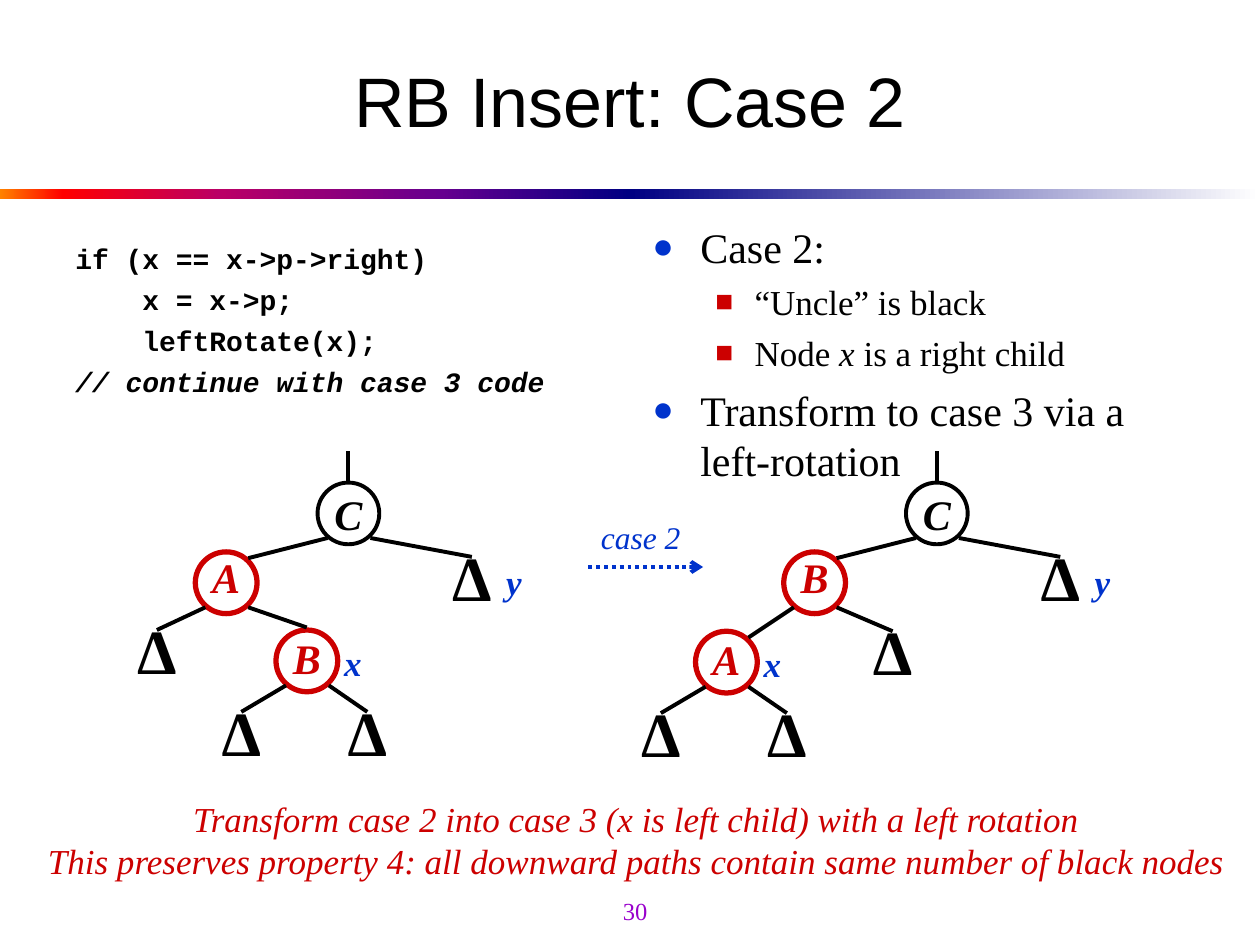
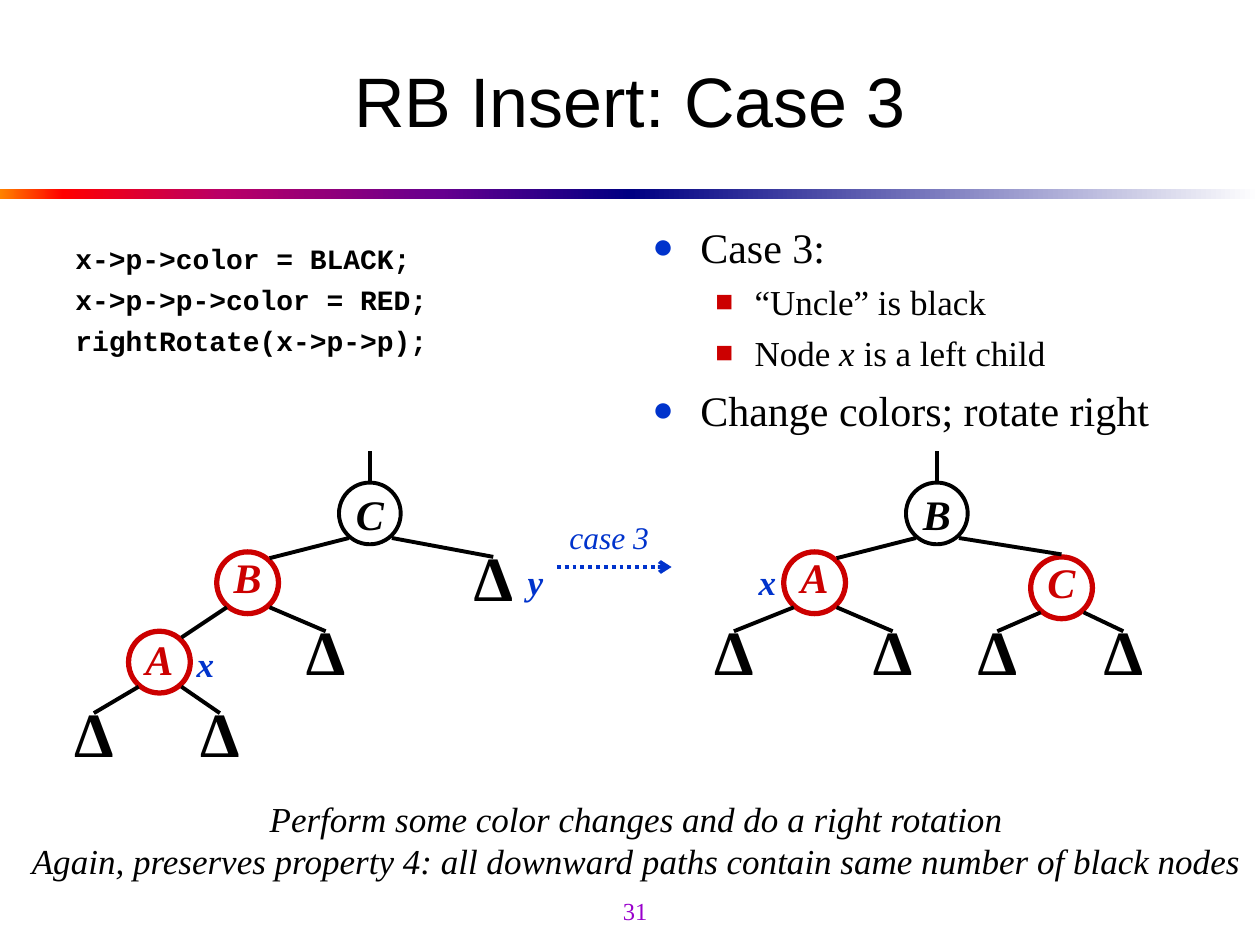
from dataclasses import dataclass
from typing import NamedTuple, Optional

from pptx import Presentation, util as u
from pptx.dml.color import RGBColor
from pptx.enum import dml, shapes as es, text as et
from pptx.oxml.ns import qn
from pptx.slide import Slide
from lxml import etree

INK = {"black": "000000", "white": "FFFFFF", "red": "CC0000",
       "blue": "0033CC", "violet": "9900CC"}
BANDS = (  # left edge, gradient stops in percent
    (0, ((0, "FF8200"), (10, "FF0000"), (35, "BA0066"),
         (70, "66008F"), (100, "000082"))),
    (5, ((0, "000082"), (100, "FFFFFF"))),
)
SERIF, SANS, MONO = "Times New Roman", "Arial", "Courier New"
SIZE = 0.49            # width and height of a tree node
NEAR, FAR = 0.08, 0.42  # where edges touch a node, from its left
TIGHT = (1.0, 0.7, 0.9)  # line spacing of a node label, by depth
LEAF = "Δ"


class Font(NamedTuple):
    size: int
    ink: str = "black"
    face: str = SERIF
    bold: bool = False
    slant: bool = False


class Box(NamedTuple):
    left: float
    top: float
    wide: float
    high: float

    def lengths(self) -> list:
        return [u.Inches(side) for side in self]


class Tag(NamedTuple):
    """A pointer name, placed relative to its node."""
    word: str
    dx: float
    dy: float


class Point(NamedTuple):
    mark: str
    ink: str
    size: int
    left: float
    hang: float


@dataclass
class Node:
    """A tree node; dx is measured from the parent (from the slide for a root)."""
    name: str
    dx: float
    y: float
    kids: tuple = ()
    tag: Optional[Tag] = None


@dataclass
class Case:
    page: int
    title: str
    code: tuple
    points: tuple  # (level, text); text between asterisks is italic
    trees: tuple
    step: str
    step_x: float
    notes: tuple
    note_box: Box
    note_ink: str


LEVELS = (Point("●", "blue", 24, 0.38, 0.38), Point("■", "red", 20, 0.81, 0.31))
X_RIGHT, X_LEFT = Tag("x", 0.44, 0.04), Tag("x", -0.3, 0.02)
Y_TAG = Tag("y", 0.41, -0.02)


def leaves(y: float, left: float = -0.52, right: float = 0.48) -> tuple:
    return Node(LEAF, left, y), Node(LEAF, right, y)


def uncle() -> Node:
    return Node(LEAF, 0.98, 4.42, tag=Y_TAG)


def chain(left: float) -> Node:
    """Tree C-B-A that leans left: result of case 2, start of case 3."""
    low = Node("A", -0.7, 5.01, leaves(5.66), X_RIGHT)
    mid = Node("B", -0.97, 4.38, (low, Node(LEAF, 0.62, 5.01)))
    return Node("C", left, 3.83, (mid, uncle()))


ZIGZAG = Node("C", 2.52, 3.83, (
    Node("A", -0.97, 4.38, (
        Node(LEAF, -0.55, 5),
        Node("B", 0.64, 5, leaves(5.65), X_RIGHT))),
    uncle()))
LEVEL = Node("B", 7.19, 3.83, (
    Node("A", -0.97, 4.38, leaves(5.01, -0.64, 0.62), X_LEFT),
    Node("C", 0.99, 4.42, leaves(5.01, -0.51, 0.49))))

CASES = (
    Case(30, "RB Insert: Case 2",
         ("if (x == x->p->right)", "    x = x->p;", "    leftRotate(x);",
          "// continue with case 3 code"),
         ((0, "Case 2:"), (1, "“Uncle” is black"),
          (1, "Node *x* is a right child"),
          (0, "Transform to case 3 via a left-rotation")),
         (ZIGZAG, chain(7.19)), "case 2", 4.67,
         ("Transform case 2 into case 3 (x is left child) with a left rotation",
          "This preserves property 4: all downward paths contain same number of black nodes"),
         Box(0.28, 6.28, 9.54, 0.77), "red"),
    Case(31, "RB Insert: Case 3",
         ("x->p->color = BLACK;", "x->p->p->color = RED;",
          "rightRotate(x->p->p);"),
         ((0, "Case 3:"), (1, "“Uncle” is black"),
          (1, "Node *x* is a left child"),
          (0, "Change colors; rotate right")),
         (chain(2.69), LEVEL), "case 3", 4.42,
         ("Perform some color changes and do a right rotation",
          "Again, preserves property 4: all downward paths contain same number of black nodes"),
         Box(0.15, 6.28, 9.8, 0.77), "black"),
)


def tint(ink: str) -> RGBColor:
    return RGBColor.from_string(INK[ink])


def style(para, font: Font) -> None:
    face = para.font
    face.name, face.size = font.face, u.Pt(font.size)
    face.bold, face.italic = font.bold, font.slant
    face.color.rgb = tint(font.ink)


def lines(frame, rows: tuple) -> list:
    """Make one paragraph for each row of the frame."""
    paras = []
    for i, row in enumerate(rows):
        para = frame.add_paragraph() if i else frame.paragraphs[0]
        for j, part in enumerate(row.split("*")):
            run = para.add_run()
            run.text = part
            if j % 2:
                run.font.italic = True
        paras.append(para)
    return paras


def label(slide: Slide, box: Box, rows: tuple, font: Font) -> None:
    """Centred text that does not wrap."""
    frame = slide.shapes.add_textbox(*box.lengths()).text_frame
    frame.word_wrap = False
    frame.vertical_anchor = et.MSO_ANCHOR.MIDDLE
    for para in lines(frame, rows):
        para.alignment = et.PP_ALIGN.CENTER
        style(para, font)


def band(slide: Slide, left: float, stops: tuple) -> None:
    bar = slide.shapes.add_shape(es.MSO_SHAPE.RECTANGLE,
                                 *Box(left, 1.5, 5, 0.08).lengths())
    bar.shadow.inherit = False
    bar.line.fill.background()
    bar.fill.gradient()
    bar.fill.gradient_angle = 0
    ramp = bar.element.spPr.find(qn("a:gradFill")).find(qn("a:gsLst"))
    for old in list(ramp):
        ramp.remove(old)
    for spot, shade in stops:
        stop = etree.SubElement(ramp, qn("a:gs"), pos=str(spot * 1000))
        etree.SubElement(stop, qn("a:srgbClr"), val=shade)


def link(slide: Slide, start: tuple, end: tuple, ink: str = "black"):
    ends = [u.Inches(n) for n in (*start, *end)]
    line = slide.shapes.add_connector(es.MSO_CONNECTOR.STRAIGHT, *ends)
    line.line.color.rgb = tint(ink)
    line.line.width = u.Pt(2.25)
    etree.SubElement(line.element.spPr, qn("a:effectLst"))
    return line


def arrow(slide: Slide, left: float, word: str) -> None:
    line = link(slide, (left, 4.5), (left + 0.91, 4.5), "blue")
    line.line.dash_style = dml.MSO_LINE.ROUND_DOT
    pen = line.element.spPr.find(qn("a:ln"))
    etree.SubElement(pen, qn("a:tailEnd"), type="arrow")
    label(slide, Box(left, 4.06, 0.83, 0.4), (word,),
          Font(18, "blue", slant=True))


def disc(slide: Slide, node: Node, left: float, depth: int) -> None:
    leaf = node.name == LEAF
    ink = "red" if depth and not leaf else "black"
    ring = slide.shapes.add_shape(es.MSO_SHAPE.OVAL,
                                  *Box(left, node.y, SIZE, SIZE).lengths())
    ring.shadow.inherit = False
    ring.fill.solid()
    ring.fill.fore_color.rgb = tint("white")
    if leaf:
        ring.line.fill.background()
    else:
        ring.line.color.rgb = tint(ink)
        ring.line.width = u.Pt(3 if depth else 2.25)
    frame = ring.text_frame
    frame.word_wrap = False
    frame.vertical_anchor = et.MSO_ANCHOR.MIDDLE
    para = lines(frame, (node.name,))[0]
    para.alignment = et.PP_ALIGN.CENTER
    para.line_spacing = 0.6 if leaf else TIGHT[depth]
    style(para, Font(36 if leaf else 24, ink, bold=True, slant=not leaf))


def tree(slide: Slide, node: Node, base: float = 0, depth: int = 0) -> None:
    """Draw a node, its tag, its children and the edges to them."""
    left = base + node.dx
    disc(slide, node, left, depth)
    if not depth:
        mid = left + SIZE / 2
        link(slide, (mid, node.y), (mid, node.y - 0.25))
    if node.tag:
        word, dx, dy = node.tag
        label(slide, Box(left + dx, node.y + dy, 0.34, 0.43), (word,),
              Font(20, "blue", bold=True, slant=True))
    for kid in node.kids:
        tree(slide, kid, left, depth + 1)
        spot = left + kid.dx
        start = (left + (NEAR if kid.dx < 0 else FAR), node.y + 0.44)
        if kid.name == LEAF:
            end = (spot + SIZE / 2, kid.y)
        elif kid.dx < 0:
            end = (spot + FAR, kid.y + 0.05)
        else:
            end = (spot + SIZE / 2, kid.y - 0.02)
        link(slide, start, end)


def bullet(para, point: Point) -> None:
    props = para._p.get_or_add_pPr()
    props.set("marL", str(u.Inches(point.left)))
    props.set("indent", str(-u.Inches(point.hang)))
    shade = etree.SubElement(props, qn("a:buClr"))
    etree.SubElement(shade, qn("a:srgbClr"), val=INK[point.ink])
    etree.SubElement(props, qn("a:buSzPct"), val="85000")
    etree.SubElement(props, qn("a:buFont"), typeface=SERIF)
    etree.SubElement(props, qn("a:buChar"), char=point.mark)


def body(slide: Slide, box: Box, rows: tuple) -> list:
    frame = slide.shapes.add_textbox(*box.lengths()).text_frame
    frame.word_wrap = True
    return lines(frame, rows)


def code(slide: Slide, rows: tuple) -> None:
    for i, para in enumerate(body(slide, Box(0.5, 1.87, 4.42, 1.83), rows)):
        if i:
            para.space_before = u.Pt(4.2)
        note = rows[i].startswith("//")
        style(para, Font(16, face=MONO, bold=True, slant=note))


def points(slide: Slide, items: tuple) -> None:
    rows = tuple(row for _, row in items)
    paras = body(slide, Box(5.08, 1.71, 4.42, 1.92), rows)
    for i, (para, (level, _)) in enumerate(zip(paras, items)):
        point = LEVELS[level]
        bullet(para, point)
        if i:
            para.space_before = u.Pt(point.size / 4)
        style(para, Font(point.size))


def draw(slide: Slide, case: Case) -> None:
    for left, stops in BANDS:
        band(slide, left, stops)
    label(slide, Box(0.5, 0.25, 9, 1.08), (case.title,), Font(40, face=SANS))
    code(slide, case.code)
    points(slide, case.points)
    for root in case.trees:
        tree(slide, root)
    arrow(slide, case.step_x, case.step)
    label(slide, case.note_box, case.notes,
          Font(20, case.note_ink, slant=True))
    label(slide, Box(4, 6.98, 2.08, 0.5), (str(case.page),),
          Font(14, "violet"))


def main() -> None:
    deck = Presentation()
    deck.slide_width, deck.slide_height = u.Inches(10), u.Inches(7.5)
    for case in CASES:
        draw(deck.slides.add_slide(deck.slide_layouts[6]), case)
    deck.save("out.pptx")


if __name__ == "__main__":
    main()
